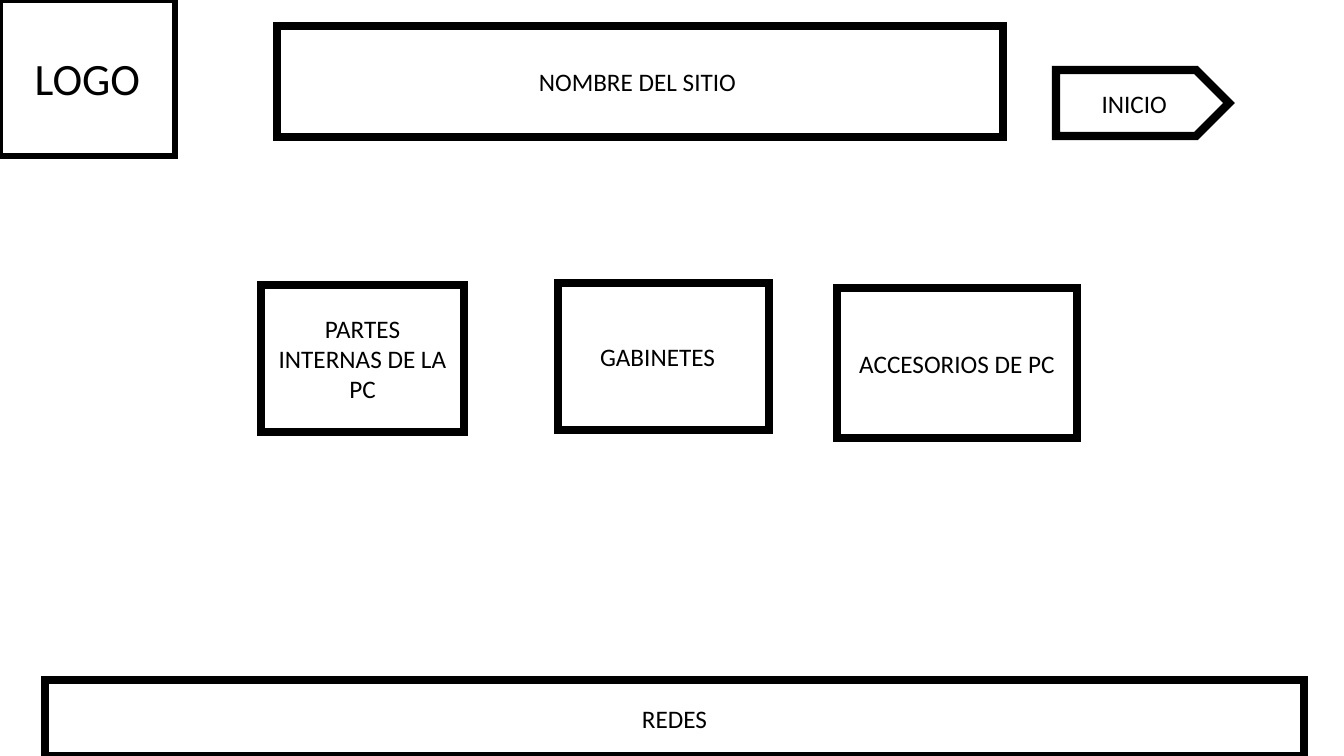
from lxml import etree
from pptx import Presentation
from pptx.dml.color import RGBColor
from pptx.enum.shapes import MSO_SHAPE
from pptx.enum.text import MSO_ANCHOR, MSO_AUTO_SIZE, PP_ALIGN
from pptx.oxml.ns import qn
from pptx.util import Pt

EMU_PER_PIXEL = 914400 / 100.8
SLIDE_WIDTH, SLIDE_HEIGHT = 1344, 756
TITLE_ONLY_LAYOUT = 5
INSET = 10
FONT_NAME = "Calibri"

BLACK = RGBColor(0x00, 0x00, 0x00)
WHITE = RGBColor(0xFF, 0xFF, 0xFF)

RECTANGLE = MSO_SHAPE.RECTANGLE
PENTAGON = MSO_SHAPE.PENTAGON
MIDDLE = MSO_ANCHOR.MIDDLE
CENTER = PP_ALIGN.CENTER
NO_AUTOFIT = MSO_AUTO_SIZE.NONE

SITE_NAME_BOX = (277, 26, 726, 111)
LOGO_BOX = (0, 0, 175, 156)
HOME_BOX = (1056, 70, 173, 66)
NETWORKS_BOX = (45, 680, 1259, 76)
CATEGORIES = [
    ("PARTES INTERNAS DE LA PC", (261, 285, 203, 147), INSET),
    ("GABINETES", (558, 283, 211, 147), INSET + 12),
    ("ACCESORIOS DE PC", (837, 288, 240, 150), INSET),
]


def emu(pixels):
    """Turn pixels into EMU."""
    return round(pixels * EMU_PER_PIXEL)


def format_outline(shape, line_width):
    """Give a shape a white fill and a sharp-cornered black outline."""
    shape.fill.solid()
    shape.fill.fore_color.rgb = WHITE
    shape.line.color.rgb = BLACK
    shape.line.width = Pt(line_width)
    outline = shape._element.spPr.find(qn("a:ln"))
    etree.SubElement(outline, qn("a:miter")).set("lim", "800000")


def format_label(shape, text, font_size, right_inset):
    """Write a centred black label inside a shape."""
    frame = shape.text_frame
    frame.text = text
    frame.word_wrap = True
    frame.auto_size = NO_AUTOFIT
    frame.vertical_anchor = MIDDLE
    frame.margin_left = emu(INSET)
    frame.margin_right = emu(right_inset)
    paragraph = frame.paragraphs[0]
    paragraph.alignment = CENTER
    paragraph.font.name = FONT_NAME
    paragraph.font.size = Pt(font_size)
    paragraph.font.color.rgb = BLACK


def add_box(slide, text, box, kind=RECTANGLE, font_size=18, line_width=6,
            right_inset=INSET):
    """Add an outlined, labelled box."""
    shape = slide.shapes.add_shape(kind, *map(emu, box))
    shape.shadow.inherit = False
    format_outline(shape, line_width)
    format_label(shape, text, font_size, right_inset)


def place_title(slide, text, box):
    """Move the title placeholder into an outlined box."""
    title = slide.shapes.title
    title.left, title.top, title.width, title.height = map(emu, box)
    format_outline(title, 6)
    format_label(title, text, 18, INSET + 5)


def main():
    """Build the site wireframe slide."""
    presentation = Presentation()
    presentation.slide_width = emu(SLIDE_WIDTH)
    presentation.slide_height = emu(SLIDE_HEIGHT)
    layout = presentation.slide_layouts[TITLE_ONLY_LAYOUT]
    slide = presentation.slides.add_slide(layout)

    place_title(slide, "NOMBRE DEL SITIO", SITE_NAME_BOX)
    add_box(slide, "LOGO", LOGO_BOX, font_size=32, line_width=4.5)
    add_box(slide, "INICIO", HOME_BOX, kind=PENTAGON)
    for text, box, right_inset in CATEGORIES:
        add_box(slide, text, box, right_inset=right_inset)
    add_box(slide, "REDES", NETWORKS_BOX)

    presentation.save("out.pptx")


main()
